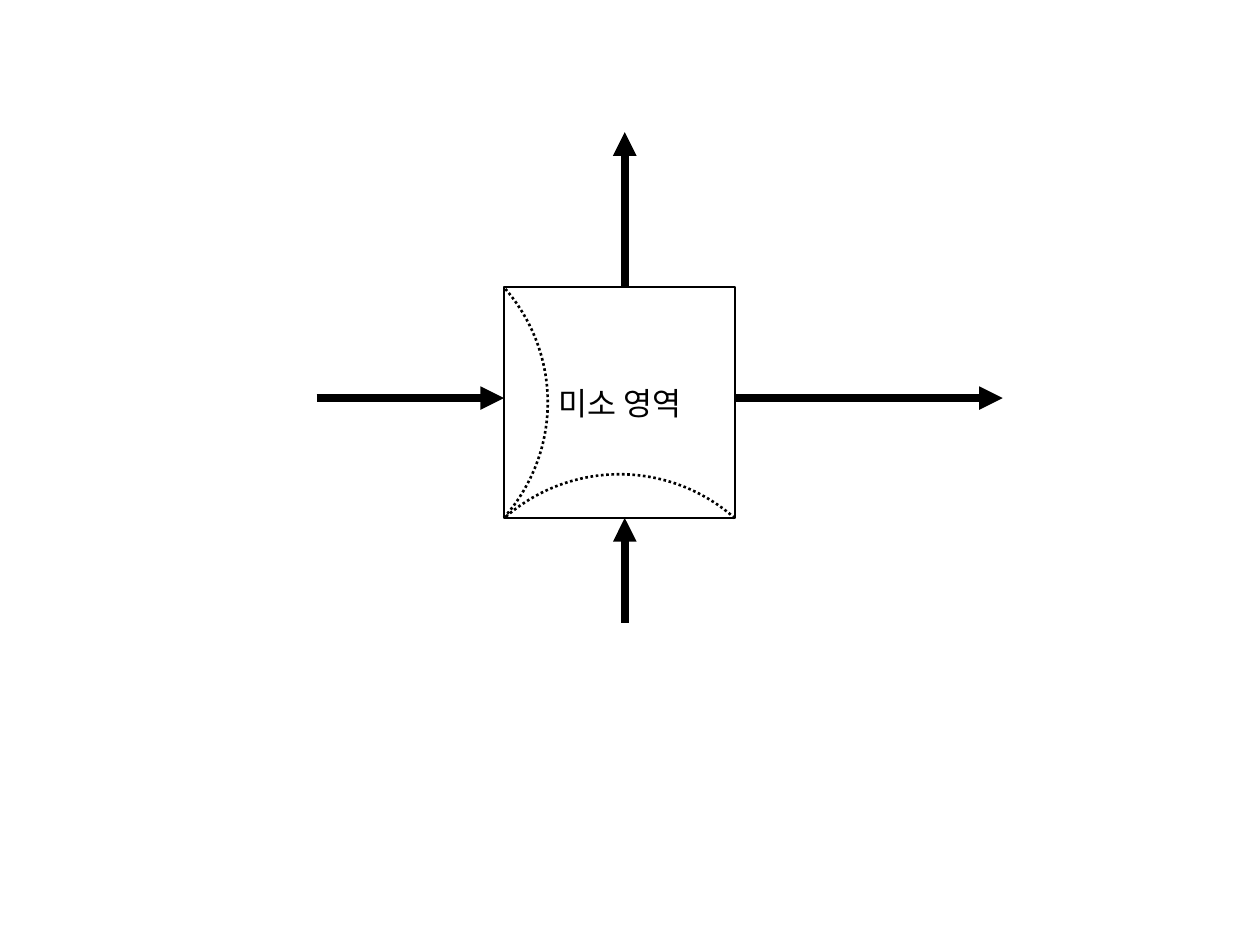
from pptx import Presentation
from pptx.dml.color import RGBColor
from pptx.enum.dml import MSO_LINE
from pptx.enum.shapes import MSO_CONNECTOR, MSO_SHAPE
from pptx.enum.text import MSO_ANCHOR, PP_ALIGN
from pptx.oxml.ns import qn
from pptx.util import Pt
from lxml.etree import SubElement

BLACK = RGBColor(0, 0, 0)
WHITE = RGBColor(255, 255, 255)


def write(frame, text, font="Calibri", size=18, color=BLACK, align=PP_ALIGN.CENTER):
    frame.word_wrap = True
    frame.vertical_anchor = MSO_ANCHOR.MIDDLE
    para = frame.paragraphs[0]
    para.alignment = align
    run = para.add_run()
    run.text = text
    run.font.name = font
    run.font.size = Pt(size)
    run.font.color.rgb = color


class Sketch:
    """Draws the parts of a flow diagram on one slide, measured in points."""

    def __init__(self, slide, ink=BLACK, paper=WHITE):
        self.shapes = slide.shapes
        self.ink = ink
        self.paper = paper

    def stroke(self, line, width):
        line.color.rgb = self.ink
        line.width = Pt(width)

    def shape(self, kind, left, top, side, width):
        item = self.shapes.add_shape(kind, Pt(left), Pt(top), Pt(side), Pt(side))
        item.shadow.inherit = False
        self.stroke(item.line, width)
        return item

    def square(self, left, top, side, text):
        item = self.shape(MSO_SHAPE.RECTANGLE, left, top, side, 1)
        item.fill.solid()
        item.fill.fore_color.rgb = self.paper
        write(item.text_frame, text, color=self.ink)

    def arc(self, left, top, side, turn=0):
        item = self.shape(MSO_SHAPE.ARC, left, top, side, 1.5)
        item.fill.background()
        item.line.dash_style = MSO_LINE.ROUND_DOT
        item.adjustments[0] = 137.44
        item.adjustments[1] = 187.44
        item.rotation = turn

    def arrow(self, *ends):
        item = self.shapes.add_connector(MSO_CONNECTOR.STRAIGHT, *map(Pt, ends))
        self.stroke(item.line, 4.5)
        SubElement(item.line._get_or_add_ln(), qn("a:tailEnd"), type="triangle")
        SubElement(item._element.spPr, qn("a:effectLst"))


def main():
    deck = Presentation()
    deck.slide_width, deck.slide_height = Pt(720), Pt(540)
    art = Sketch(deck.slides.add_slide(deck.slide_layouts[6]))

    left, top, side = 288, 164, 132
    right, base = left + side, top + side
    row, col = 227.5, 357
    art.square(left, top, side, "미소 영역")
    art.arrow(right, row, 573, row)
    art.arrow(181, row, left, row)
    art.arrow(col, 356, col, base)
    art.arc(255, 271, 198)
    art.arc(115, 131, 198, turn=90)
    art.arrow(col, top, col, 75.5)

    deck.save("out.pptx")


if __name__ == "__main__":
    main()
